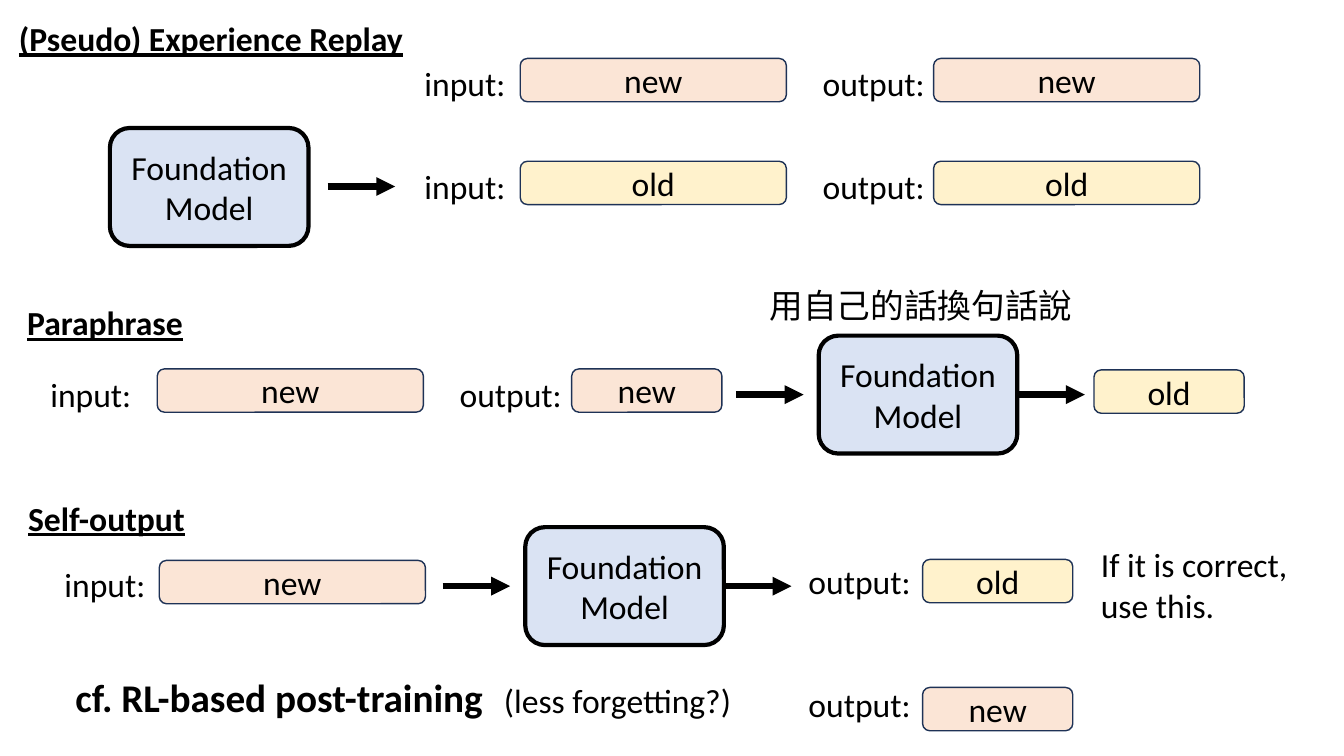
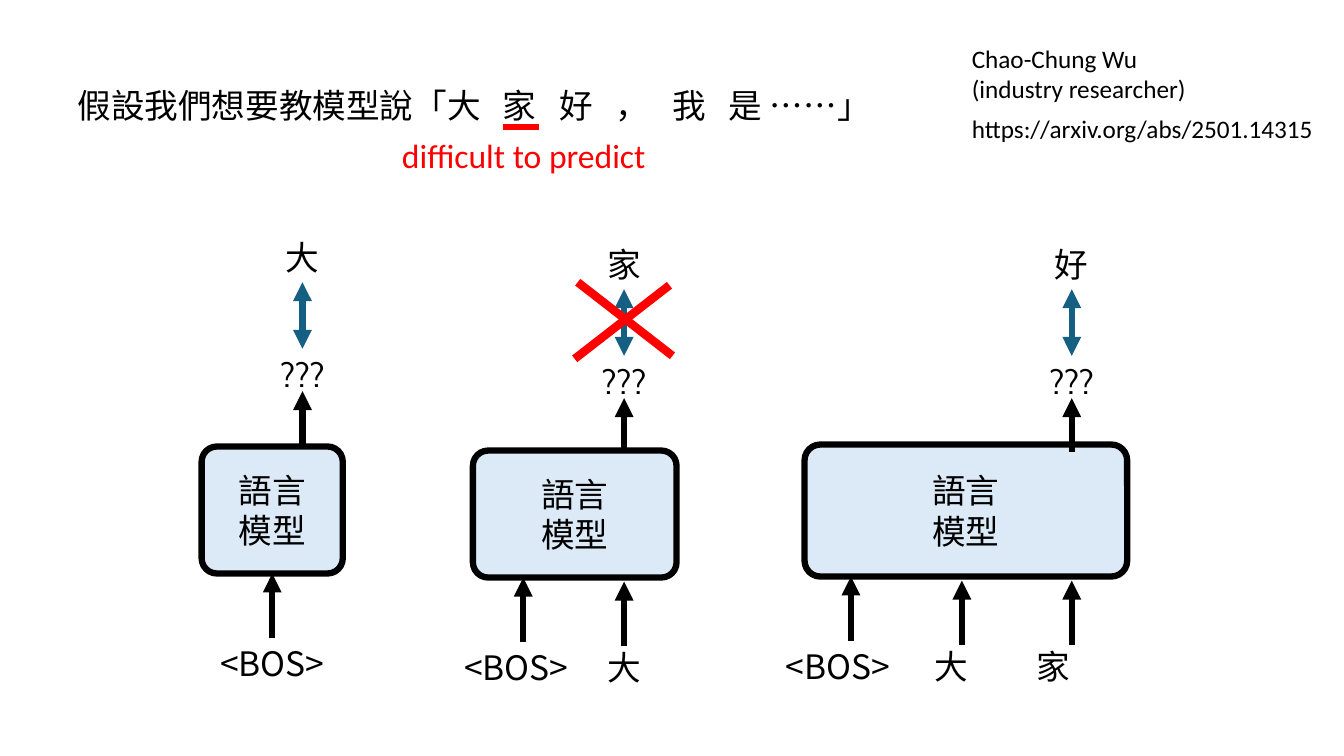
"""Build two slides on keeping old knowledge while training a foundation model."""
import pptx
import pptx.dml.color
import pptx.enum.shapes
import pptx.enum.text
import pptx.oxml
import pptx.oxml.ns
import pptx.util
from pptx.util import Inches

ALIGN = pptx.enum.text.PP_ALIGN
LATIN, CHINESE, UNKNOWN = "Calibri", "Noto Sans CJK SC", "Cabin"
BLACK, RED, TEAL, NAVY = "000000", "FF0000", "156082", "1E3256"
SAMPLE_FILLS = {"new": "FBE5D6", "old": "FFF2CC"}
MODEL_WIDTH, MODEL_HEIGHT = 1.97, 1.17
LONG, SHORT = 2.64, 1.49
RIGHT, BOTTOM = 3, 2


def rgb(hex_color):
    return pptx.dml.color.RGBColor.from_string(hex_color)


def add_xml(parent, tag, **attributes):
    child = pptx.oxml.parse_xml(f"<a:{tag} {pptx.oxml.ns.nsdecls('a')}/>")
    for key, value in attributes.items():
        child.set(key, str(value))
    parent.append(child)
    return child


def write(frame, text, size=24, font=LATIN, color=BLACK, bold=None,
          underline=None, align=ALIGN.LEFT, tabs=()):
    frame.word_wrap = True
    for index, line in enumerate(text.split("\n")):
        paragraph = frame.add_paragraph() if index else frame.paragraphs[0]
        paragraph.alignment = align
        if tabs:
            stops = add_xml(paragraph._p.get_or_add_pPr(), "tabLst")
            for stop in tabs:
                add_xml(stops, "tab", pos=Inches(stop), algn="l")
        run = paragraph.add_run()
        run.text = line
        run.font.size = pptx.util.Pt(size)
        run.font.name = font
        run.font.bold = bold
        run.font.underline = underline
        run.font.color.rgb = rgb(color)
        add_xml(run._r.get_or_add_rPr(), "ea", typeface=font)


class Deck:
    """Holds the presentation, its shared style and the current slide."""

    def __init__(self):
        self.presentation = pptx.Presentation()
        self.presentation.slide_width = Inches(13.33)
        self.presentation.slide_height = Inches(7.5)
        self.slide = None

    def new_slide(self):
        blank = self.presentation.slide_layouts[6]
        self.slide = self.presentation.slides.add_slide(blank)

    def label(self, text, left, top, width, height=0.5, **style):
        area = self.slide.shapes.add_textbox(
            Inches(left), Inches(top), Inches(width), Inches(height))
        write(area.text_frame, text, **style)

    def centered(self, text, middle, top, width=0.8, **style):
        self.label(text, middle - width / 2, top, width, align=ALIGN.CENTER, **style)

    def heading(self, text, left, top):
        self.label(text, left, top, 4.86, bold=True, underline=True)

    def field(self, text, left, top):
        width = {"input:": 1.12, "output:": 1.39}[text]
        self.label(text, left, top, width, align=ALIGN.RIGHT)

    def box(self, text, left, top, width, height, fill, line, weight,
            corner=None, font=LATIN):
        rounded = self.slide.shapes.add_shape(
            pptx.enum.shapes.MSO_SHAPE.ROUNDED_RECTANGLE,
            Inches(left), Inches(top), Inches(width), Inches(height))
        rounded.shadow.inherit = False
        rounded.fill.solid()
        rounded.fill.fore_color.rgb = rgb(fill)
        rounded.line.color.rgb = rgb(line)
        rounded.line.width = pptx.util.Pt(weight)
        if corner is not None:
            rounded.adjustments[0] = corner
        rounded.text_frame.vertical_anchor = pptx.enum.text.MSO_ANCHOR.MIDDLE
        write(rounded.text_frame, text, font=font, align=ALIGN.CENTER)
        return rounded

    def sample(self, age, left, top, width=LONG):
        self.box(age, left, top, width, 0.43, SAMPLE_FILLS[age], NAVY, 1)

    def foundation_model(self, left, top):
        return self.box("Foundation\nModel", left, top, MODEL_WIDTH, MODEL_HEIGHT,
                        "DAE3F3", BLACK, 3)

    def language_model(self, left, top, width, height):
        return self.box("語言\n模型", left, top, width, height, "DCEAF7", BLACK, 4.5,
                        corner=0.12, font=CHINESE)

    def line(self, start, end, color=BLACK, weight=4.5, heads=()):
        stroke = self.slide.shapes.add_connector(
            pptx.enum.shapes.MSO_CONNECTOR.STRAIGHT,
            *(Inches(length) for length in (*start, *end)))
        stroke.line.color.rgb = rgb(color)
        stroke.line.width = pptx.util.Pt(weight)
        for head in heads:
            add_xml(stroke.line._get_or_add_ln(), head, type="triangle")
        add_xml(stroke._element.spPr, "effectLst")
        return stroke

    def arrow(self, start, end):
        return self.line(start, end, heads=["tailEnd"])

    def arrow_right(self, left, middle):
        return self.arrow((left, middle), (left + 0.67, middle))


def model_with_output(deck, left, top):
    model = deck.foundation_model(left, top)
    middle = top + MODEL_HEIGHT / 2
    deck.arrow_right(left - 0.82, middle)
    deck.arrow_right(left + MODEL_WIDTH, middle).begin_connect(model, RIGHT)


def build_methods(deck):
    deck.new_slide()

    deck.heading("(Pseudo) Experience Replay", 0.09, 0.13)
    for age, top in (("new", 0.58), ("old", 1.6)):
        for name, name_left, sample_left in (("input:", 3.99, 5.16),
                                             ("output:", 7.88, 9.26)):
            deck.field(name, name_left, top)
            deck.sample(age, sample_left, top)
    deck.foundation_model(1.09, 1.27)
    deck.arrow_right(3.25, 1.85)

    deck.heading("Paraphrase", 0.17, 2.95)
    deck.field("input:", 0.28, 3.66)
    deck.sample("new", 1.56, 3.66)
    deck.field("output:", 4.28, 3.66)
    deck.sample("new", 5.67, 3.66, SHORT)
    deck.label("用自己的話換句話說", 7.37, 2.78, 3.53, font=CHINESE, align=ALIGN.CENTER)
    model_with_output(deck, 8.12, 3.33)
    deck.sample("old", 10.85, 3.67, SHORT)

    deck.heading("Self-output", 0.18, 4.89)
    deck.field("input:", 0.42, 5.55)
    deck.sample("new", 1.58, 5.56)
    model_with_output(deck, 5.21, 5.23)
    for age, name_top, sample_top in (("old", 5.52, 5.55), ("new", 6.74, 6.82)):
        deck.field("output:", 7.74, name_top)
        deck.sample(age, 9.15, sample_top, SHORT)
    deck.label("If it is correct, use this.", 10.82, 5.35, 2.18, 0.91)
    deck.label("cf. RL-based post-training", 0.65, 6.63, 5.19, 0.57, size=28, bold=True)
    deck.label("(less forgetting?)", 4.9, 6.7, 3.02)


def prediction(deck, model_box, target, target_x, target_top, inputs):
    model = deck.language_model(*model_box)
    left, top, width, height = model_box
    bottom = top + height

    guess_top = target_top + 0.66
    deck.centered(target, target_x, target_top - 0.5, font=CHINESE)
    deck.line((target_x, target_top), (target_x, guess_top), TEAL,
              heads=["headEnd", "tailEnd"])
    deck.centered("???", target_x, guess_top, 0.92, font=UNKNOWN)
    deck.arrow((target_x, guess_top + 0.95), (target_x, guess_top + 0.42))

    for index, (token, token_x, arrow_x) in enumerate(inputs):
        tip = bottom + (0.04 if index else 0)
        feed = deck.arrow((arrow_x, tip + 0.64), (arrow_x, tip))
        if arrow_x == left + width / 2:
            feed.end_connect(model, BOTTOM)
        deck.centered(token, token_x, bottom + 0.64, 1.3, font=CHINESE)


def build_predictions(deck):
    deck.new_slide()
    deck.label("Chao-Chung Wu\n(industry researcher)", 9.54, 0.38, 2.66, 0.71, size=18)
    deck.label("https://arxiv.org/abs/2501.14315", 9.54, 1.08, 3.75, 0.4, size=18)
    deck.label("假設我們想要教模型說「大\t家\t好\t，\t我\t是 ……」", 0.67, 0.79, 8.33,
               font=CHINESE, tabs=[4.22 + 0.56 * step for step in range(5)])
    deck.line((4.99, 1.26), (5.35, 1.26), RED)
    deck.label("difficult to predict", 3.29, 1.29, 3.81, color=RED, align=ALIGN.CENTER)

    first_middle = 2 + 1.4 / 2
    prediction(deck, (2, 4.43, 1.4, 1.26), "大", 3, 2.8,
               [("<BOS>", first_middle, first_middle)])
    prediction(deck, (4.69, 4.47, 2.02, 1.26), "家", 6.19, 2.87,
               [("<BOS>", 5.12, 5.19), ("大", 6.19, 6.19)])
    prediction(deck, (7.98, 4.41, 3.2, 1.31), "好", 10.63, 2.87,
               [("<BOS>", 8.31, 8.44), ("大", 9.44, 9.54), ("家", 10.45, 10.63)])

    deck.line((5.73, 2.8), (6.67, 3.53), RED, 6)
    deck.line((6.64, 2.83), (5.7, 3.56), RED, 6)


def main():
    deck = Deck()
    build_methods(deck)
    build_predictions(deck)
    deck.presentation.save("out.pptx")


if __name__ == "__main__":
    main()
